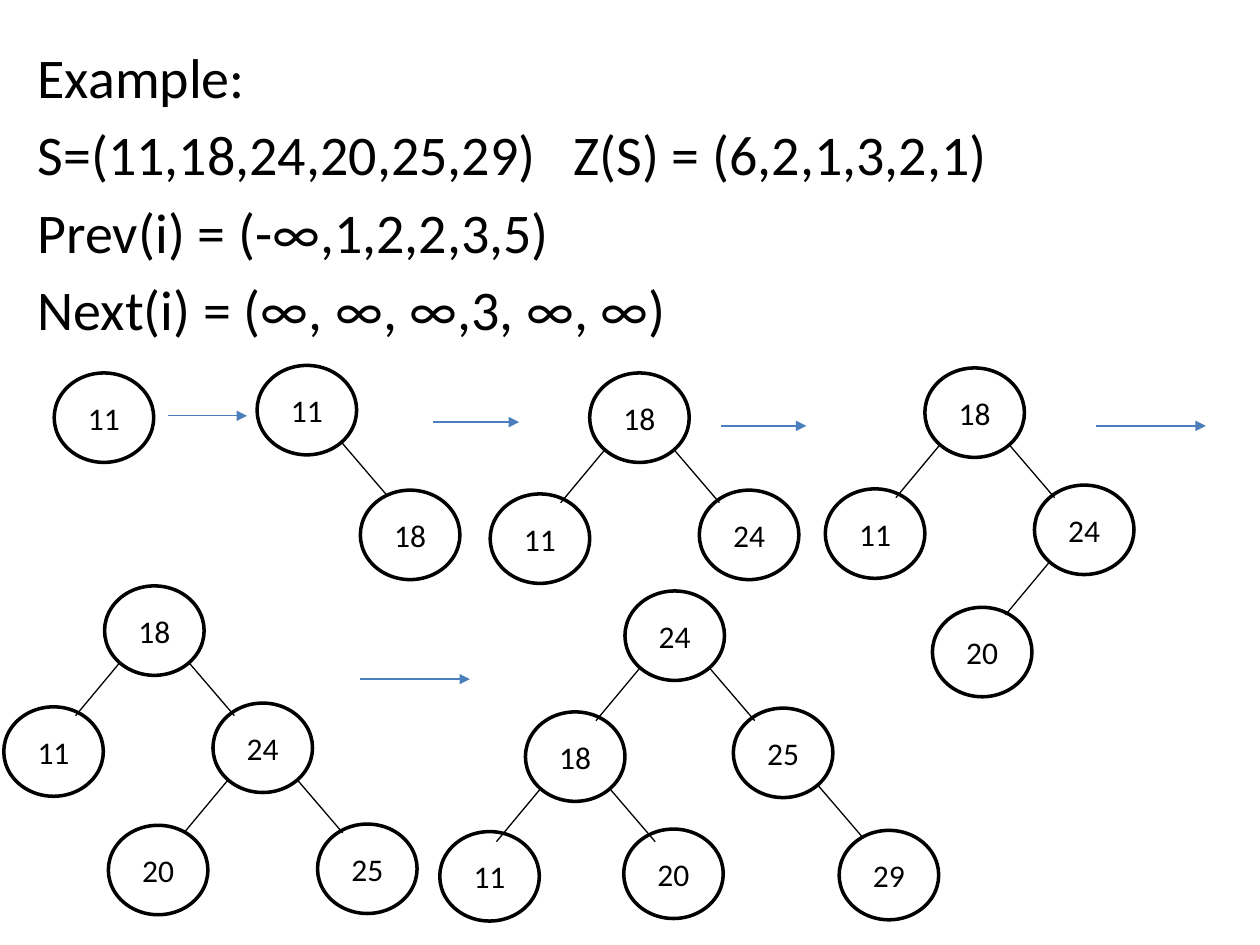
import pptx
import pptx.util
import pptx.dml.color
import pptx.enum.shapes
import pptx.enum.text
import pptx.oxml.ns
import lxml.etree

RGB = pptx.dml.color.RGBColor
BLACK = RGB(0x00, 0x00, 0x00)
WHITE = RGB(0xFF, 0xFF, 0xFF)
BLUE = RGB(0x4B, 0x7E, 0xBC)

COLS, ROWS = 100, 75      # grid laid over the slide
NODE_W, NODE_H = 7.9, 7.1
# Where an edge leaves its parent, and how far it runs, in grid units
EDGES = {"L": ((1.2, 6.1), (-3.5, 4.2)), "R": ((6.7, 6.1), (3.6, 4.2))}

LINES = [
    "Example:",
    "S=(11,18,24,20,25,29)   Z(S) = (6,2,1,3,2,1)",
    "Prev(i) = (-∞,1,2,2,3,5)",
    "Next(i) = (∞, ∞, ∞,3, ∞, ∞)",
]

# Each node: value, column, row, sides with a child edge
TREES = [
    [(11, 4.3, 29.6, "")],
    [(11, 20.4, 29, "R"), (18, 28.6, 38.9, "")],
    [(18, 46.8, 29.6, "LR"), (11, 38.9, 39.2, ""), (24, 55.5, 38.9, "")],
    [(18, 73.4, 29.2, "LR"), (11, 65.5, 38.8, ""), (24, 82.1, 38.5, "L"),
     (20, 74, 48.2, "")],
    [(18, 8.3, 46.5, "LR"), (11, 0.3, 56.1, ""), (24, 16.9, 55.8, "LR"),
     (20, 8.6, 65.5, ""), (25, 25.2, 65.4, "")],
    [(24, 49.6, 46.9, "LR"), (18, 41.7, 56.5, "LR"), (25, 58.2, 56.2, "R"),
     (11, 34.9, 66, ""), (20, 49.5, 65.8, ""), (29, 66.6, 65.9, "")],
]

# Steps between trees: column, row, length
STEPS = [(13.3, 33, 6.3), (34.4, 33.5, 6.8), (57.2, 33.8, 6.8),
         (87, 33.8, 8.7), (28.6, 53.9, 8.7)]


class Board:
    """Holds the style and the current slide."""
    font = {"name": "Calibri"}

    def __init__(self, prs):
        self.s = prs.slides.add_slide(prs.slide_layouts[6])
        self.dx = prs.slide_width / COLS
        self.dy = prs.slide_height / ROWS

    def place(self, x, y, w, h):
        return [round(v) for v in (x * self.dx, y * self.dy, w * self.dx, h * self.dy)]

    def style(self, p, size):
        for key, value in {**self.font, "size": pptx.util.Pt(size)}.items():
            setattr(p.font, key, value)
        p.font.color.rgb = BLACK

    def text(self, lines, x, y, w, h):
        tf = self.s.shapes.add_textbox(*self.place(x, y, w, h)).text_frame
        tf.word_wrap = True
        for i, line in enumerate(lines):
            p = tf.add_paragraph() if i else tf.paragraphs[0]
            p.text = line
            p.space_before = pptx.util.Pt(5.7 if i else 0)
            self.style(p, 32)

    def node(self, value, x, y):
        sp = self.s.shapes.add_shape(pptx.enum.shapes.MSO_SHAPE.OVAL,
                                     *self.place(x, y, NODE_W, NODE_H))
        sp.shadow.inherit = False
        sp.fill.solid()
        sp.fill.fore_color.rgb = WHITE
        sp.line.color.rgb = BLACK
        sp.line.width = pptx.util.Pt(2)
        tf = sp.text_frame
        tf.vertical_anchor = pptx.enum.text.MSO_ANCHOR.MIDDLE
        p = tf.paragraphs[0]
        p.text = str(value)
        p.alignment = pptx.enum.text.PP_ALIGN.CENTER
        self.style(p, 18)

    def line(self, x, y, run, drop, color=BLACK, arrow=False):
        c = self.s.shapes.add_connector(
            pptx.enum.shapes.MSO_CONNECTOR.STRAIGHT,
            *self.place(x, y, x + run, y + drop))
        c.line.color.rgb = color
        c.line.width = pptx.util.Pt(0.75)
        qn = pptx.oxml.ns.qn
        if arrow:
            ln = c.line._get_or_add_ln()
            lxml.etree.SubElement(ln, qn("a:tailEnd"), type="triangle")
        lxml.etree.SubElement(c._element.spPr, qn("a:effectLst"))

    def tree(self, nodes):
        for value, x, y, _ in nodes:
            self.node(value, x, y)
        for _, x, y, sides in nodes:
            for side in sides:
                (ox, oy), (run, drop) = EDGES[side]
                self.line(x + ox, y + oy, run, drop)


def main():
    prs = pptx.Presentation()
    prs.slide_width = pptx.util.Inches(10)
    prs.slide_height = pptx.util.Inches(7.5)
    board = Board(prs)

    # Sequences
    board.text(LINES, 2, 2.9, 95.3, 69.3)

    # Trees and the steps between them
    for nodes in TREES:
        board.tree(nodes)
    for x, y, length in STEPS:
        board.line(x, y, length, 0, BLUE, arrow=True)

    prs.save("out.pptx")


if __name__ == "__main__":
    main()
